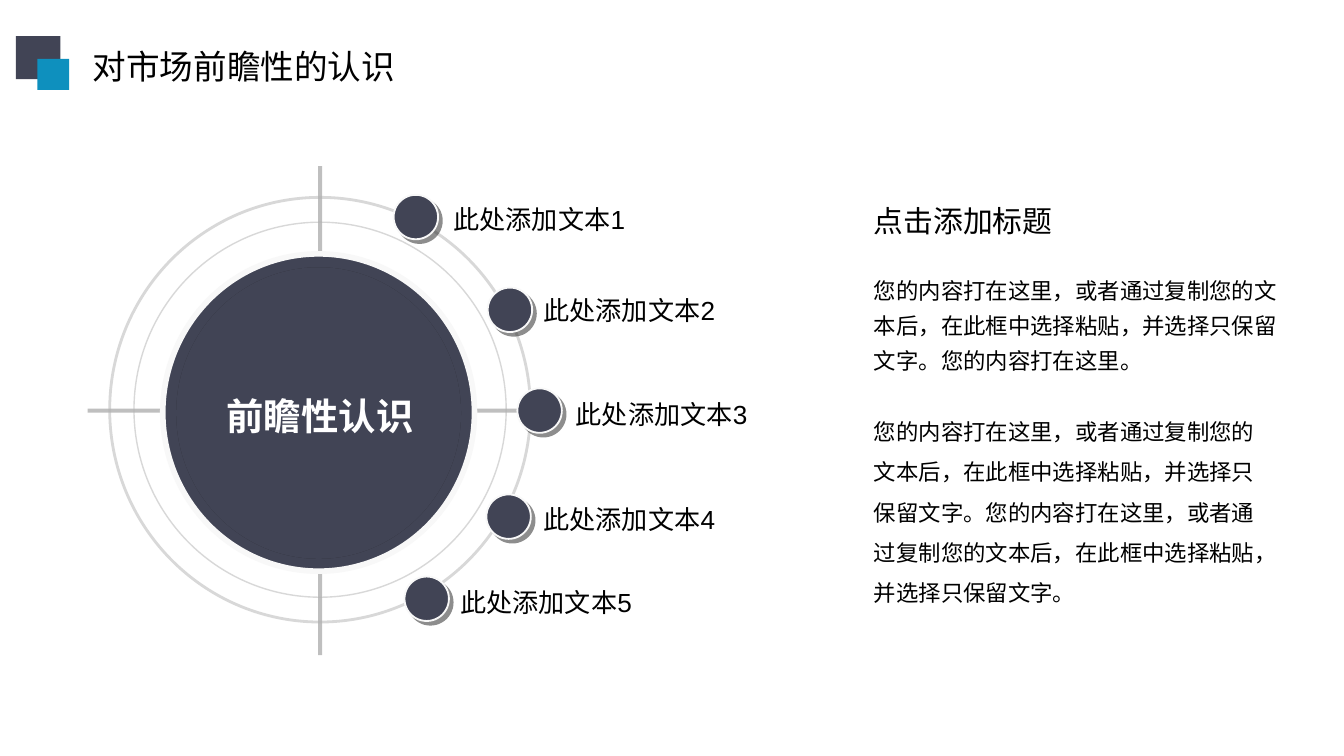
from dataclasses import dataclass

from lxml.etree import SubElement
from pptx import Presentation
from pptx.dml.color import RGBColor
from pptx.enum.shapes import MSO_CONNECTOR, MSO_SHAPE
from pptx.enum.text import MSO_ANCHOR, MSO_AUTO_SIZE, PP_ALIGN
from pptx.oxml.ns import qn
from pptx.util import Pt


@dataclass(frozen=True)
class Theme:
    dark: str = "414455"
    accent: str = "0E90BE"
    text: str = "000000"
    white: str = "FFFFFF"
    rim: str = "F8F8F8"
    ring: str = "B2B2B2"
    axis: str = "808080"
    shade: str = "1C1C1C"
    latin: str = "Arial"
    chinese: str = "Noto Sans CJK SC"
    hub_size: int = 20
    title_size: int = 18
    heading_size: int = 16
    label_size: int = 14
    body_size: int = 12


THEME = Theme()

# Dot centre and label's left middle, relative to the dial box
NODES = [
    ("此处添加文本1", (175.8, 27.3), (189.9, 28.3)),
    ("此处添加文本2", (226.2, 77), (238.1, 77.3)),
    ("此处添加文本3", (242.1, 131), (255.4, 132.7)),
    ("此处添加文本4", (225.5, 187.8), (238.1, 188.9)),
    ("此处添加文本5", (181.6, 231.8), (193.5, 233.5)),
]

BODY = [
    "您的内容打在这里，或者通过复制您的文本后，在此框中选择粘贴，并选择只保留文字。"
    "您的内容打在这里。",
    "您的内容打在这里，或者通过复制您的文本后，在此框中选择粘贴，并选择只保留文字。"
    "您的内容打在这里，或者通过复制您的文本后，在此框中选择粘贴，并选择只保留文字。",
]


def place(shape, left, top, width, height):
    shape.left, shape.top = Pt(left), Pt(top)
    shape.width, shape.height = Pt(width), Pt(height)


def set_alpha(line, percent):
    color = line.fill._xPr.find(qn("a:solidFill"))[0]
    SubElement(color, qn("a:alpha"), val=str(percent * 1000))


def style_line(line, color, width, alpha=100):
    line.color.rgb = RGBColor.from_string(color)
    line.width = Pt(width)
    if alpha < 100:
        set_alpha(line, alpha)


def add_figure(page, kind, left, top, width, height, fill=None):
    shape = page.shapes.add_shape(kind, Pt(left), Pt(top), Pt(width), Pt(height))
    shape.shadow.inherit = False
    shape.line.fill.background()
    if fill:
        shape.fill.solid()
        shape.fill.fore_color.rgb = RGBColor.from_string(fill)
    else:
        shape.fill.background()
    return shape


def add_disc(page, centre_x, centre_y, width, height, fill=None):
    return add_figure(page, MSO_SHAPE.OVAL, centre_x - width / 2,
                      centre_y - height / 2, width, height, fill)


def add_shadow(shape, distance, angle):
    effects = shape._element.spPr.find(qn("a:effectLst"))
    shadow = SubElement(effects, qn("a:outerShdw"), blurRad="0",
                        dist=str(Pt(distance)), dir=str(angle * 60000),
                        algn="ctr", rotWithShape="0")
    color = SubElement(shadow, qn("a:srgbClr"), val=THEME.shade)
    SubElement(color, qn("a:alpha"), val="50000")


def write(shape, text, size, font, color=THEME.text, bold=False,
          align=PP_ALIGN.LEFT, anchor=MSO_ANCHOR.TOP, wrap=True,
          inset=(6, 3), spacing=1.0):
    frame = shape.text_frame
    frame.text = text
    frame.word_wrap = wrap
    frame.auto_size = MSO_AUTO_SIZE.NONE
    frame.vertical_anchor = anchor
    frame.margin_left = frame.margin_right = Pt(inset[0])
    frame.margin_top = frame.margin_bottom = Pt(inset[1])
    para = frame.paragraphs[0]
    para.alignment = align
    para.line_spacing = spacing
    para.space_before = Pt(0)
    for span in para.runs:
        span.font.size = Pt(size)
        span.font.bold = bold
        span.font.name = font
        span.font.color.rgb = RGBColor.from_string(color)
        SubElement(span._r.rPr, qn("a:ea"), typeface=THEME.chinese)


def add_axis(page, start_x, start_y, end_x, end_y):
    axis = page.shapes.add_connector(MSO_CONNECTOR.STRAIGHT, Pt(start_x),
                                     Pt(start_y), Pt(end_x), Pt(end_y))
    style_line(axis.line, THEME.axis, 2.25, alpha=50)
    SubElement(axis._element.spPr, qn("a:effectLst"))


def build_header(page, left, top):
    # Two overlapping squares beside the title
    add_figure(page, MSO_SHAPE.RECTANGLE, left, top, 23.8, 23, THEME.dark)
    add_figure(page, MSO_SHAPE.RECTANGLE, left + 11.5, top + 12.2, 17, 16.6,
               THEME.accent)
    title = page.shapes.title
    place(title, left + 33.9, top + 1.5, 178, 29)
    write(title, "对市场前瞻性的认识", THEME.title_size, THEME.chinese,
          wrap=False, inset=(7.2, 3.6))


def build_dial(page, left, top, width, height):
    middle_x, middle_y = left + width / 2, top + height / 2

    # Cross hairs and thin rings
    add_axis(page, left, middle_y, left + width, middle_y)
    add_axis(page, middle_x, top, middle_x, top + height)
    for ring_width, ring_height, weight in ((199.4, 200.9, 0.75),
                                            (225.4, 227.5, 1.5)):
        ring = add_disc(page, middle_x, middle_y - 0.5, ring_width, ring_height)
        style_line(ring.line, THEME.ring, weight, alpha=50)

    # Hub
    hub = add_disc(page, middle_x - 0.8, middle_y + 1, 167, 170, THEME.dark)
    style_line(hub.line, THEME.rim, 3)
    face = add_disc(page, middle_x - 0.8, middle_y + 1.3, 152.6, 156.2, THEME.dark)
    add_shadow(face, 0, 0)
    caption = add_disc(page, middle_x, middle_y + 2.8, 98, 100, THEME.dark)
    write(caption, "前瞻性认识", THEME.hub_size, THEME.latin, THEME.white,
          bold=True, align=PP_ALIGN.CENTER, anchor=MSO_ANCHOR.MIDDLE, wrap=False)

    # Dots on the outer ring with their labels
    for text, (dot_x, dot_y), (label_x, label_y) in NODES:
        dot = add_disc(page, left + dot_x, top + dot_y, 23.8, 23.8, THEME.dark)
        style_line(dot.line, THEME.rim, 1)
        add_shadow(dot, 2.8, 45)
        add_disc(page, left + dot_x, top + dot_y, 20, 20, THEME.dark)
        label = page.shapes.add_textbox(Pt(left + label_x), Pt(top + label_y - 11.5),
                                        Pt(146), Pt(23))
        write(label, text, THEME.label_size, THEME.latin,
              anchor=MSO_ANCHOR.MIDDLE)


def build_copy(page, left, top):
    heading = page.shapes.add_textbox(Pt(left), Pt(top), Pt(113), Pt(25))
    write(heading, "点击添加标题", THEME.heading_size, THEME.chinese)

    # Body placeholders without bullets
    bodies = [shape for shape in page.placeholders
              if shape.placeholder_format.idx > 0]
    boxes = [(35.3, 238.3, 81.4, 1.3), (108, 226.8, 136.8, 1.5)]
    for body, text, (offset, width, height, spacing) in zip(bodies, BODY, boxes):
        place(body, left, top + offset, width, height)
        properties = body.text_frame.paragraphs[0]._p.get_or_add_pPr()
        write(body, text, THEME.body_size, THEME.chinese, spacing=spacing)
        properties = body.text_frame.paragraphs[0]._p.get_or_add_pPr()
        properties.set("marL", "0")
        properties.set("indent", "0")
        SubElement(properties, qn("a:buNone"))


def main():
    deck = Presentation()
    deck.slide_width, deck.slide_height = Pt(720), Pt(405)
    page = deck.slides.add_slide(deck.slide_layouts.get_by_name("Two Content"))
    build_dial(page, 47, 89, 249, 262)
    build_copy(page, 462.2, 105.8)
    build_header(page, 8.6, 19.4)
    deck.save("out.pptx")


if __name__ == "__main__":
    main()
